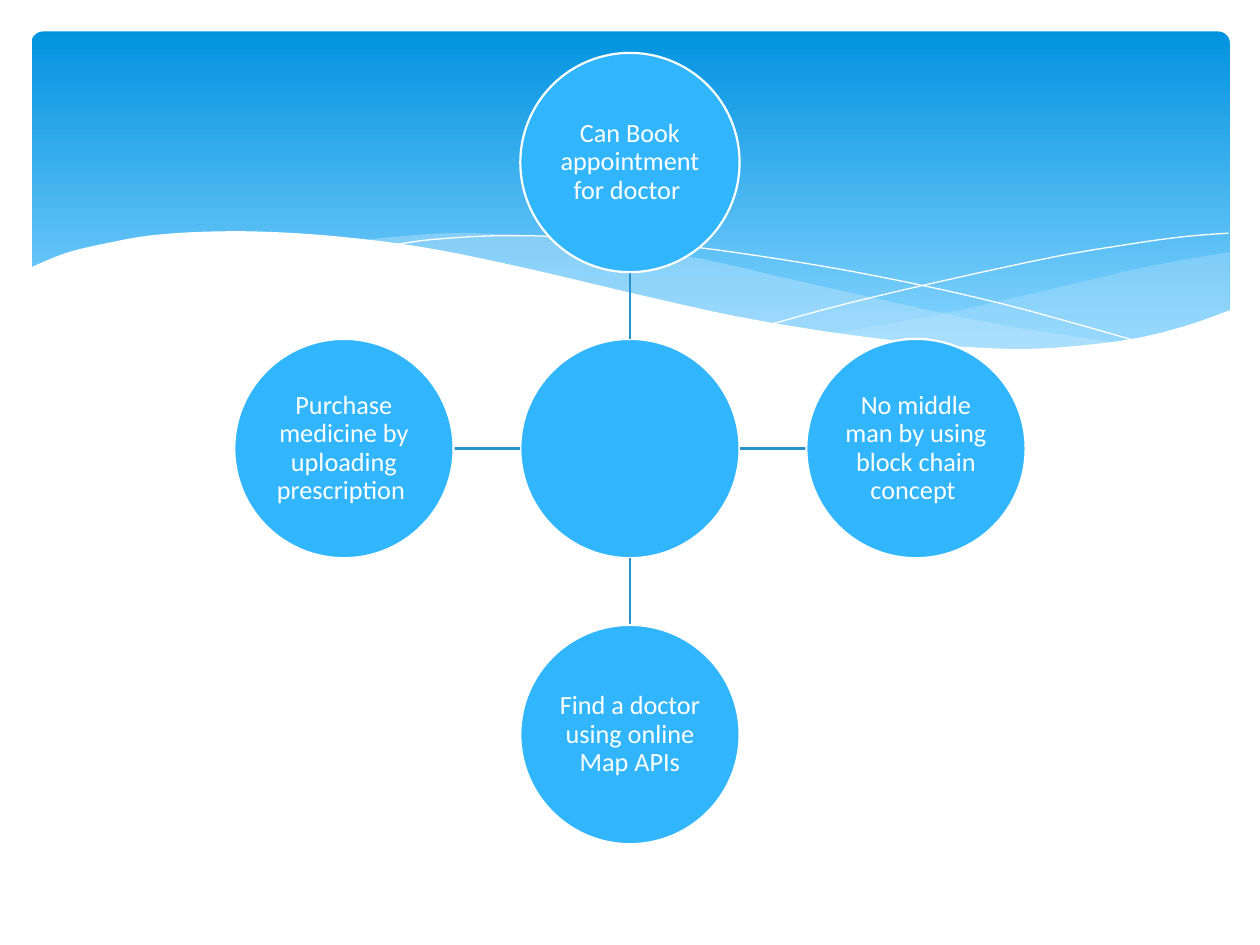
from lxml import etree
from pptx import Presentation
from pptx.dml.color import RGBColor
from pptx.enum.shapes import MSO_CONNECTOR, MSO_SHAPE
from pptx.enum.text import MSO_ANCHOR, PP_ALIGN
from pptx.oxml.ns import qn
from pptx.util import Inches, Pt

ELLIPSE = MSO_SHAPE.OVAL
ROUNDED = MSO_SHAPE.ROUNDED_RECTANGLE
STRAIGHT = MSO_CONNECTOR.STRAIGHT
MIDDLE = MSO_ANCHOR.MIDDLE
CENTER = PP_ALIGN.CENTER

WHITE, BLUE, SPOKE_BLUE, PALE = "FFFFFF", "31B6FD", "2792CB", "C6E7FC"
HUB_X, HUB_Y = 5, 3.56
DIAMETER, REACH = 1.74, 2.27

# Each topic sits one reach from the hub, in direction (dx, dy).
TOPICS = [
    ("Can Book appointment for doctor ", 0, -1),
    ("No middle man by using block chain concept ", 1, 0),
    ("Find a doctor using online Map APIs", 0, 1),
    ("Purchase medicine by uploading prescription ", -1, 0),
]

# Key points of the curves, in inches.
RIGHT_TOP = [(9.76, 2), (9.35, 2.07), (8.91, 2.16), (8.32, 2.3),
             (7.53, 2.48), (6.61, 2.65)]
RIGHT_BOTTOM = [(6.61, 2.65), (7.19, 2.72), (7.69, 2.77), (8.14, 2.78),
                (8.63, 2.75), (9.05, 2.69), (9.42, 2.59), (9.76, 2.47)]
MIDDLE_TOP = [(8.93, 2.73), (8.07, 2.6), (7.41, 2.47), (6.29, 2.22),
              (5.69, 2.08), (5.14, 1.98), (4.65, 1.91), (4.2, 1.87),
              (3.61, 1.85), (3.13, 1.88), (2.86, 1.91)]
MIDDLE_BOTTOM = [(2.86, 1.91), (3.62, 2.03), (4.49, 2.22), (5.3, 2.4),
                 (6.01, 2.55), (6.65, 2.66), (7.22, 2.74), (7.73, 2.77),
                 (8.18, 2.78), (8.57, 2.77), (8.93, 2.73)]
FALLING_LINE = [(3.09, 1.95), (3.44, 1.9), (4.01, 1.87), (4.69, 1.89),
                (5.33, 1.94), (6.08, 2.04), (6.95, 2.19), (7.95, 2.41),
                (9.07, 2.72)]
RISING_LINE = [(6.13, 2.57), (6.72, 2.41), (7.48, 2.23), (8.36, 2.04),
               (8.95, 1.94), (9.38, 1.88), (9.75, 1.85)]
FRONT_TOP = [(9.77, 2.46), (9.4, 2.59), (8.99, 2.69), (8.5, 2.75),
             (8.09, 2.77), (7.61, 2.75), (7.08, 2.7), (6.48, 2.62),
             (5.79, 2.5), (5.03, 2.33), (4.18, 2.13), (3.4, 1.97),
             (2.71, 1.88), (2.11, 1.84), (1.61, 1.84), (1.19, 1.87),
             (0.85, 1.93), (0.52, 2.01), (0.23, 2.13)]


def color(value):
    """Turn a hex string into a colour."""
    return RGBColor.from_string(value)


def paint(shape, fill=None, alpha=None, line=None, width=0):
    """Set fill, opacity in percent and outline, without a shadow."""
    shape.shadow.inherit = False
    if fill:
        shape.fill.solid()
        shape.fill.fore_color.rgb = color(fill)
    else:
        shape.fill.background()
    if alpha is not None:
        tint = shape.fill._xPr.find(qn("a:solidFill"))[0]
        etree.SubElement(tint, qn("a:alpha"), val=str(alpha * 1000))
    if line:
        shape.line.color.rgb = color(line)
        shape.line.width = Pt(width)
    else:
        shape.line.fill.background()


def smooth(points, steps=6):
    """Return a Catmull-Rom curve through the points."""
    padded = [points[0], *points, points[-1]]
    curve = [points[0]]
    for a, b, c, d in zip(padded, padded[1:], padded[2:], padded[3:]):
        for step in range(1, steps + 1):
            t = step / steps
            curve.append(tuple(
                (2 * q + (r - p) * t + (2 * p - 5 * q + 4 * r - s) * t ** 2
                 + (3 * q - p - 3 * r + s) * t ** 3) / 2
                for p, q, r, s in zip(a, b, c, d)))
    return curve


def add_outline(page, points, close=True, **style):
    """Draw a freeform through points given in inches."""
    corners = [(Inches(x), Inches(y)) for x, y in points]
    builder = page.shapes.build_freeform(*corners[0])
    builder.add_line_segments(corners[1:], close=close)
    paint(builder.convert_to_shape(), **style)


def add_banner(page):
    """Draw the rounded gradient banner."""
    banner = page.shapes.add_shape(
        ROUNDED, Inches(0.25), Inches(0.25), Inches(9.51), Inches(2.7))
    paint(banner)
    banner.adjustments[0] = 0.034
    banner.fill.gradient()
    banner.fill.gradient_angle = 270
    stops = [(0, "0293E0"), (0.9, "83D3FE")]
    for stop, (position, value) in zip(banner.fill.gradient_stops, stops):
        stop.position = position
        stop.color.rgb = color(value)


def add_waves(page):
    """Draw the waves and thin lines along the banner's lower edge."""
    add_outline(page, smooth(RIGHT_TOP) + smooth(RIGHT_BOTTOM),
                fill=PALE, alpha=29)
    add_outline(page, smooth(MIDDLE_TOP) + smooth(MIDDLE_BOTTOM),
                fill=PALE, alpha=40)
    for points in (FALLING_LINE, RISING_LINE):
        add_outline(page, smooth(points), close=False, line=WHITE)
    add_outline(page, smooth(FRONT_TOP) + [(0.23, 3.29), (9.77, 3.29)],
                fill=WHITE)


def add_text(shape, text, size=15, font="Calibri", ink=WHITE, spacing=0.9):
    """Write centred text into a shape."""
    frame = shape.text_frame
    frame.word_wrap = True
    frame.vertical_anchor = MIDDLE
    frame.margin_left = frame.margin_right = Inches(0.01)
    frame.margin_top = frame.margin_bottom = Inches(0.01)
    para = frame.paragraphs[0]
    para.alignment = CENTER
    para.line_spacing = spacing
    span = para.add_run()
    span.text = text
    span.font.size = Pt(size)
    span.font.name = font
    span.font.color.rgb = color(ink)


def add_circle(page, x, y, text=None):
    """Draw a circle centred on x, y, with text if given."""
    circle = page.shapes.add_shape(
        ELLIPSE, Inches(x - DIAMETER / 2), Inches(y - DIAMETER / 2),
        Inches(DIAMETER), Inches(DIAMETER))
    paint(circle, fill=BLUE, line=WHITE, width=1.25)
    if text:
        add_text(circle, text)


def add_spoke(page, dx, dy):
    """Join the hub's edge to the edge of the circle in one direction."""
    near, far = DIAMETER / 2, REACH - DIAMETER / 2
    spoke = page.shapes.add_connector(
        STRAIGHT,
        Inches(HUB_X + near * dx), Inches(HUB_Y + near * dy),
        Inches(HUB_X + far * dx), Inches(HUB_Y + far * dy))
    spoke.line.color.rgb = color(SPOKE_BLUE)
    spoke.line.width = Pt(1.25)
    etree.SubElement(spoke._element.spPr, qn("a:effectLst"))


def main():
    """Build the slide and save it."""
    deck = Presentation()
    deck.slide_width, deck.slide_height = Inches(10), Inches(7.5)
    page = deck.slides.add_slide(deck.slide_layouts[6])
    add_banner(page)
    add_waves(page)
    add_circle(page, HUB_X, HUB_Y)
    for text, dx, dy in TOPICS:
        add_spoke(page, dx, dy)
        add_circle(page, HUB_X + REACH * dx, HUB_Y + REACH * dy, text)
    deck.save("out.pptx")


main()
